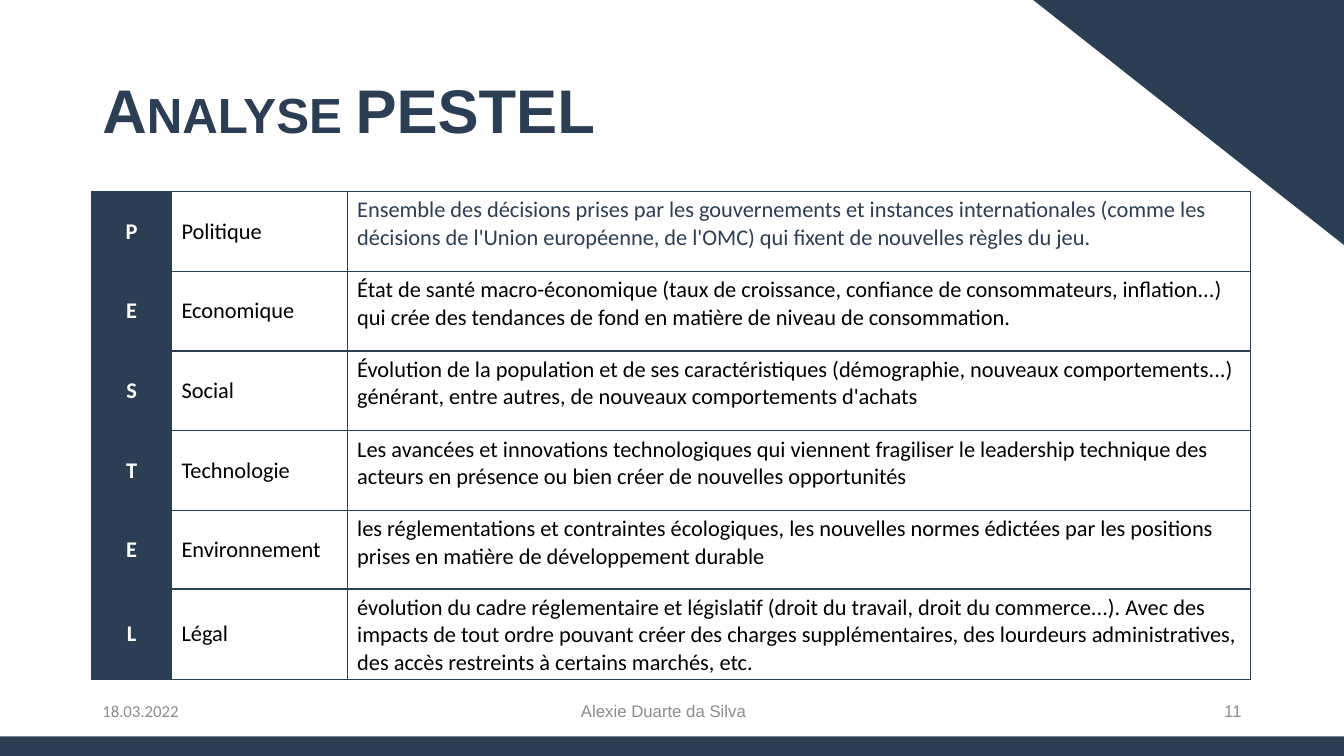
from lxml import etree
from pptx import Presentation
from pptx.dml.color import RGBColor
from pptx.enum.shapes import MSO_SHAPE
from pptx.enum.text import MSO_ANCHOR, PP_ALIGN
from pptx.oxml.ns import qn
from pptx.util import Pt

NAVY, GREY, BLACK, WHITE = "2B3E54", "8C8C8C", "000000", "FFFFFF"
WIDTH, HEIGHT = 960, 540

TITLE = "Analyse PESTEL"
PESTEL = [
    ("P", "Politique", "Ensemble des décisions prises par les gouvernements et instances "
     "internationales (comme les décisions de l'Union européenne, de l'OMC) qui fixent "
     "de nouvelles règles du jeu."),
    ("E", "Economique", "État de santé macro-économique (taux de croissance, confiance de "
     "consommateurs, inflation...) qui crée des tendances de fond en matière de niveau "
     "de consommation."),
    ("S", "Social", "Évolution de la population et de ses caractéristiques (démographie, "
     "nouveaux comportements...) générant, entre autres, de nouveaux comportements d'achats"),
    ("T", "Technologie", "Les avancées et innovations technologiques qui viennent fragiliser "
     "le leadership technique des acteurs en présence ou bien créer de nouvelles opportunités"),
    ("E", "Environnement", "les réglementations et contraintes écologiques, les nouvelles "
     "normes édictées par les positions prises en matière de développement durable"),
    ("L", "Légal", "évolution du cadre réglementaire et législatif (droit du travail, droit "
     "du commerce...). Avec des impacts de tout ordre pouvant créer des charges "
     "supplémentaires, des lourdeurs administratives, des accès restreints à certains "
     "marchés, etc."),
]
COL_WIDTHS = [57, 125.5, 645.5]
ROW_HEIGHTS = [57, 57, 57, 57, 56, 61]
TABLE_LEFT, TABLE_TOP = 65.5, 136.8
FOOTER_TOP, FOOTER_HEIGHT = 493.5, 28.8
FOOTER = [
    ("18.03.2022", 66, 216, "Calibri", PP_ALIGN.LEFT),
    ("Alexie Duarte da Silva", 312, 324, "Arial", PP_ALIGN.CENTER),
    ("11", 678, 216, "Arial", PP_ALIGN.RIGHT),
]


def rgb(color):
    return RGBColor.from_string(color)


def write(tf, text, size, font, color, align=PP_ALIGN.LEFT, bold=False):
    p = tf.paragraphs[0]
    p.text = text
    p.alignment = align
    p.font.size, p.font.name, p.font.bold = Pt(size), font, bold
    p.font.color.rgb = rgb(color)
    return p


def add_text(left, top, width, height, *style):
    tf = slide.shapes.add_textbox(Pt(left), Pt(top), Pt(width), Pt(height)).text_frame
    tf.word_wrap = True
    tf.vertical_anchor = MSO_ANCHOR.MIDDLE
    return write(tf, *style)


def add_block(kind, left, top, width, height):
    sp = slide.shapes.add_shape(kind, Pt(left), Pt(top), Pt(width), Pt(height))
    sp.shadow.inherit = False
    sp.fill.solid()
    sp.fill.fore_color.rgb = rgb(NAVY)
    sp.line.fill.background()
    return sp


def add_borders(cell, color):
    tcPr = cell._tc.get_or_add_tcPr()
    for i, side in enumerate(("lnL", "lnR", "lnT", "lnB")):
        ln = etree.Element(qn(f"a:{side}"), w=str(Pt(1)))
        fill = etree.SubElement(ln, qn("a:solidFill"))
        etree.SubElement(fill, qn("a:srgbClr"), val=color)
        tcPr.insert(i, ln)


prs = Presentation()
prs.slide_width, prs.slide_height = Pt(WIDTH), Pt(HEIGHT)
slide = prs.slides.add_slide(prs.slide_layouts[6])

corner = add_block(MSO_SHAPE.RIGHT_TRIANGLE, WIDTH - 222, 0, 222, 175)
corner.rotation = 180
add_block(MSO_SHAPE.RECTANGLE, 0, HEIGHT - 14, WIDTH, 14)

p = add_text(66, 28.8, 702, 104.4, TITLE, 44, "Arial", NAVY, PP_ALIGN.LEFT, True)
p.line_spacing = 0.9
p.runs[0].font._element.set("cap", "small")

for text, left, width, font, align in FOOTER:
    add_text(left, FOOTER_TOP, width, FOOTER_HEIGHT, text, 12, font, GREY, align)

table = slide.shapes.add_table(
    len(PESTEL), len(COL_WIDTHS), Pt(TABLE_LEFT), Pt(TABLE_TOP),
    Pt(sum(COL_WIDTHS)), Pt(sum(ROW_HEIGHTS))).table
table.first_row = table.horz_banding = False
for column, width in zip(table.columns, COL_WIDTHS):
    column.width = Pt(width)
for row, height in zip(table.rows, ROW_HEIGHTS):
    row.height = Pt(height)

for r, texts in enumerate(PESTEL):
    for c, text in enumerate(texts):
        cell = table.cell(r, c)
        cell.vertical_anchor = MSO_ANCHOR.TOP if c == 2 else MSO_ANCHOR.MIDDLE
        if c == 0:
            cell.fill.solid()
            cell.fill.fore_color.rgb = rgb(NAVY)
            write(cell.text_frame, text, 16, "Calibri", WHITE, PP_ALIGN.CENTER, True)
        else:
            cell.fill.background()
            color = NAVY if (r, c) == (0, 2) else BLACK
            write(cell.text_frame, text, 16, "Calibri", color)
        add_borders(cell, NAVY)

prs.save("out.pptx")
